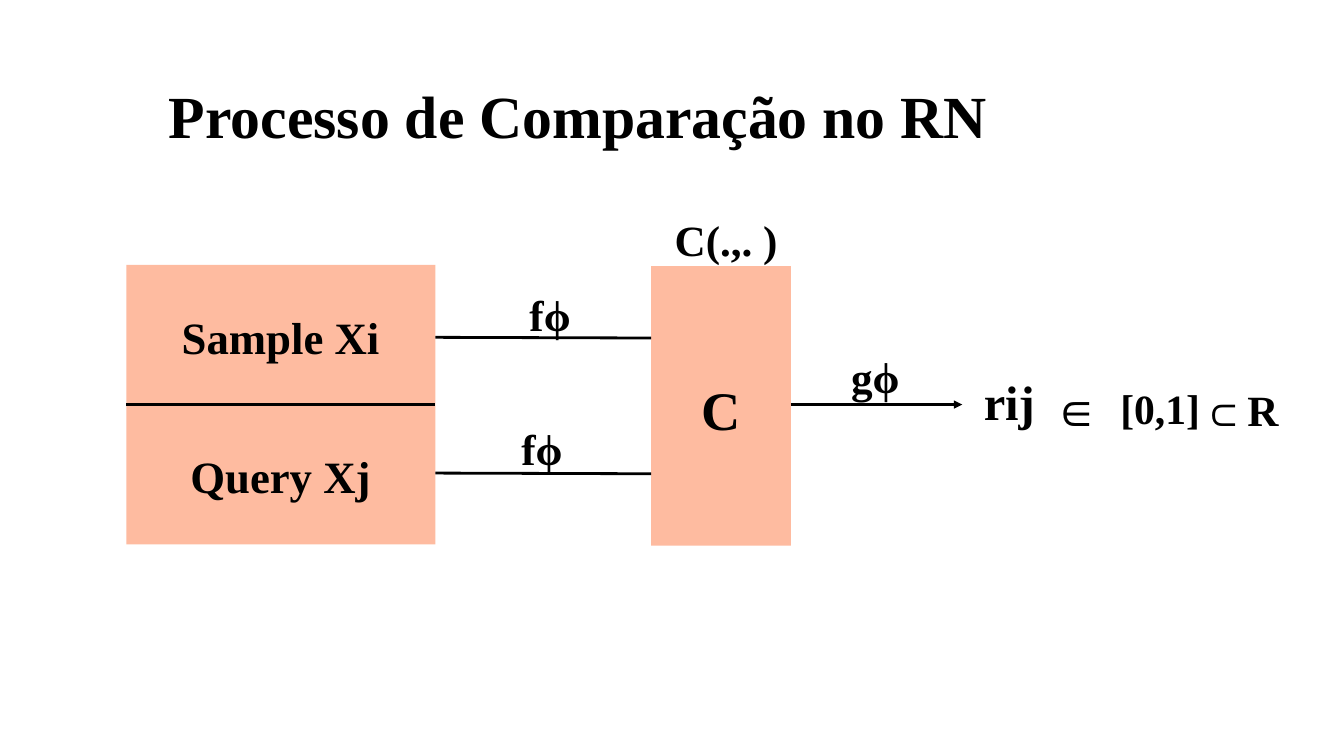
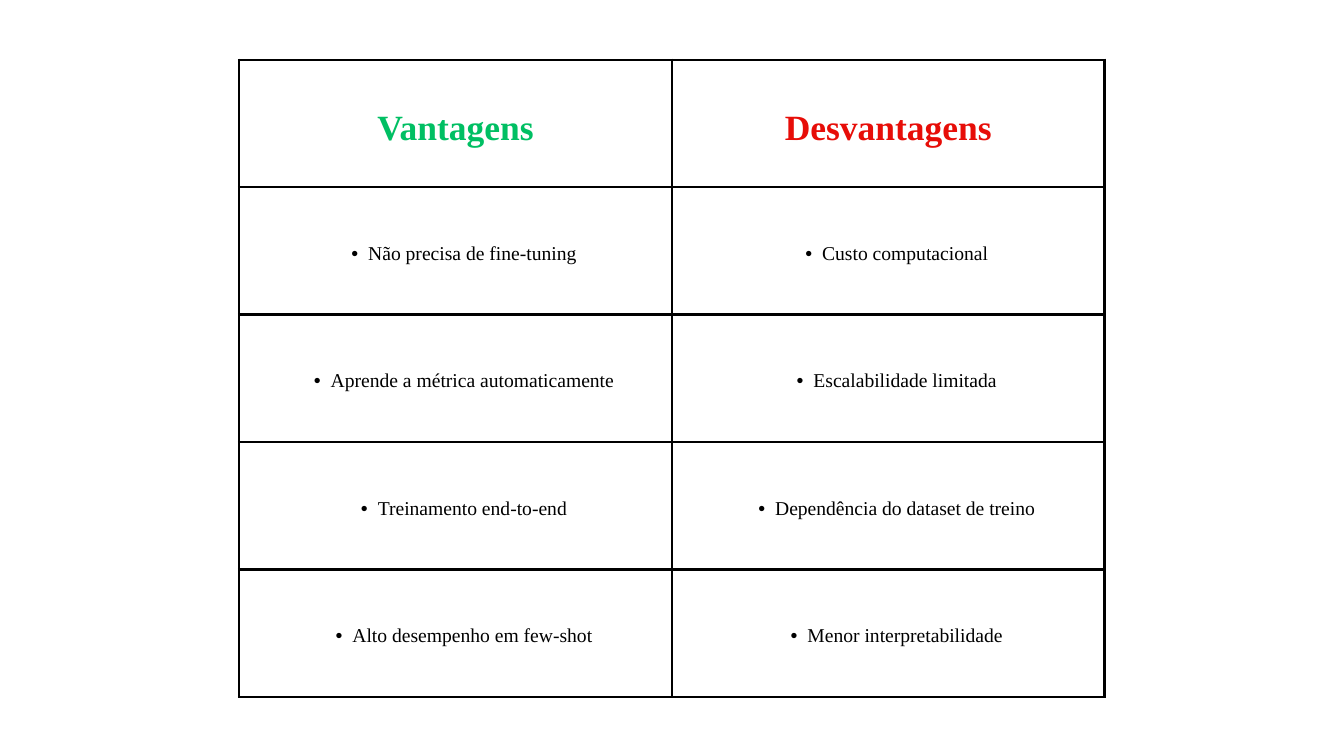
from typing import NamedTuple

from lxml import etree
from pptx import Presentation
from pptx import util as u
from pptx.dml.color import RGBColor
from pptx.enum import shapes, text
from pptx.oxml.ns import qn

BLACK = RGBColor(0x00, 0x00, 0x00)
SALMON = RGBColor(0xFE, 0xBB, 0xA0)
GREEN = RGBColor(0x00, 0xBF, 0x63)
RED = RGBColor(0xE7, 0x0D, 0x08)
FONT = "Times New Roman"
LINE_WIDTH = u.Pt(3)
LINE_SPACING = 1.4
BOX_HEIGHT = 1.34 / 72  # rows of label height for each point of text

# The slide is a grid of square cells
COLUMNS, ROWS = 20, 11.25
CELL = u.Inches(1)


class Block(NamedTuple):
    left: float
    top: float
    width: float
    height: float


class Label(NamedTuple):
    words: str
    left: float
    top: float
    width: float
    size: float = 46.2


class Link(NamedTuple):
    start: tuple[float, float]
    end: tuple[float, float]
    arrow: bool = False


INPUT_LEFT, INPUT_TOP, INPUT_WIDTH, INPUT_HEIGHT = 1.88, 3.94, 4.6, 2.08
INPUT_RIGHT = INPUT_LEFT + INPUT_WIDTH
MIDDLE = INPUT_TOP + INPUT_HEIGHT
C_LEFT, C_WIDTH = 9.69, 2.08

BLOCKS = [
    Block(INPUT_LEFT, INPUT_TOP, INPUT_WIDTH, INPUT_HEIGHT),
    Block(INPUT_LEFT, MIDDLE, INPUT_WIDTH, INPUT_HEIGHT),
    Block(C_LEFT, 3.96, C_WIDTH, 2 * INPUT_HEIGHT),
]
LINKS = [
    Link((INPUT_LEFT, MIDDLE), (INPUT_RIGHT, MIDDLE)),
    Link((INPUT_RIGHT, 5.02), (C_LEFT, 5.03)),
    Link((INPUT_RIGHT, 7.04), (C_LEFT, 7.05)),
    Link((C_LEFT + C_WIDTH, MIDDLE), (14.32, MIDDLE), arrow=True),
]
LABELS = [
    Label("Processo de Comparação no RN", 1.12, 1, 14.96, 64),
    Label("Sample Xi", 2.36, 4.47, 3.63, 48),
    Label("Query Xj", 2.58, 6.55, 3.19, 48),
    Label("fϕ", 7.78, 4.17, 0.81),
    Label("fϕ", 7.66, 6.16, 0.81),
    Label("C", 10.39, 5.43, 0.67, 58.2),
    Label("C(.,. )", 9.9, 3.04, 1.81),
    Label("gϕ", 12.57, 5.08, 0.91),
    Label("rij", 14.59, 5.39, 0.86, 51.9),
    Label("∈", 15.66, 5.48, 0.72, 51.9),
    Label("[0,1]", 16.59, 5.58, 1.35, 44.6),
    Label("⊂", 17.89, 5.58, 0.64),
    Label("R", 18.46, 5.57, 0.67),
]

HEADINGS = [("Vantagens", GREEN), ("Desvantagens", RED)]
POINTS = [
    ("Não precisa de fine-tuning", "Custo computacional"),
    ("Aprende a métrica automaticamente", "Escalabilidade limitada"),
    ("Treinamento end-to-end", "Dependência do dataset de treino"),
    ("Alto desempenho em few-shot", "Menor interpretabilidade"),
]
TABLE = Block(3.56, 0.89, 12.88, 9.48)
CELL_MARGIN = 0.21


def cells(count: float) -> u.Emu:
    """Turn a number of grid cells into a length."""
    return u.Emu(round(count * CELL))


def style_paragraph(para, size: float, color: RGBColor = BLACK, bold: bool = True,
                    bullet: bool = False) -> None:
    para.alignment = text.PP_ALIGN.CENTER
    para.line_spacing = u.Pt(round(size * LINE_SPACING, 1))
    if bullet:
        para.level = 1
        properties = para._p.get_or_add_pPr()
        properties.set("marL", str(cells(0.5)))
        properties.set("indent", str(cells(-0.25)))
        etree.SubElement(properties, qn("a:buFont"), typeface="Arial")
        etree.SubElement(properties, qn("a:buChar"), char="•")
    font = para.font
    font.name, font.size, font.bold = FONT, u.Pt(size), bold
    font.color.rgb = color


def add_block(page, block: Block) -> None:
    box = page.shapes.add_shape(shapes.MSO_SHAPE.RECTANGLE, *map(cells, block))
    box.shadow.inherit = False
    box.fill.solid()
    box.fill.fore_color.rgb = SALMON
    box.line.fill.background()


def add_link(page, link: Link) -> None:
    line = page.shapes.add_connector(
        shapes.MSO_CONNECTOR.STRAIGHT, *map(cells, link.start + link.end))
    line.line.color.rgb = BLACK
    line.line.width = LINE_WIDTH
    if link.arrow:
        etree.SubElement(line.line._get_or_add_ln(), qn("a:tailEnd"), type="triangle")
    etree.SubElement(line._element.spPr, qn("a:effectLst"))


def add_label(page, label: Label) -> None:
    height = label.size * BOX_HEIGHT
    box = page.shapes.add_textbox(
        *map(cells, (label.left, label.top, label.width, height)))
    frame = box.text_frame
    frame.word_wrap = True
    frame.margin_left = frame.margin_top = frame.margin_right = frame.margin_bottom = 0
    para = frame.paragraphs[0]
    para.text = label.words
    style_paragraph(para, label.size)


def frame_cell(cell) -> None:
    """Give a cell its margins, its black borders and no fill."""
    cell.vertical_anchor = text.MSO_ANCHOR.MIDDLE
    cell.margin_left = cell.margin_right = cells(CELL_MARGIN)
    cell.margin_top = cell.margin_bottom = cells(CELL_MARGIN)
    properties = cell._tc.get_or_add_tcPr()
    for side in ("lnL", "lnR", "lnT", "lnB"):
        border = etree.SubElement(properties, qn(f"a:{side}"), w=str(LINE_WIDTH))
        fill = etree.SubElement(border, qn("a:solidFill"))
        etree.SubElement(fill, qn("a:srgbClr"), val=str(BLACK))
    cell.fill.background()


def build_comparison(page) -> None:
    for block in BLOCKS:
        add_block(page, block)
    for link in LINKS:
        add_link(page, link)
    for label in LABELS:
        add_label(page, label)


def build_pros_and_cons(page) -> None:
    table = page.shapes.add_table(
        len(POINTS) + 1, len(HEADINGS), *map(cells, TABLE)).table
    table.first_row = table.horz_banding = False
    for cell in table.iter_cells():
        frame_cell(cell)
    for column, (heading, color) in enumerate(HEADINGS):
        para = table.cell(0, column).text_frame.paragraphs[0]
        para.text = heading
        style_paragraph(para, 38, color)
        for row, points in enumerate(POINTS, start=1):
            para = table.cell(row, column).text_frame.paragraphs[0]
            para.text = points[column]
            style_paragraph(para, 21, bold=False, bullet=True)


def main() -> None:
    deck = Presentation()
    deck.slide_width, deck.slide_height = cells(COLUMNS), cells(ROWS)
    blank = deck.slide_layouts[6]
    for build in (build_comparison, build_pros_and_cons):
        build(deck.slides.add_slide(blank))
    deck.save("out.pptx")


if __name__ == "__main__":
    main()
